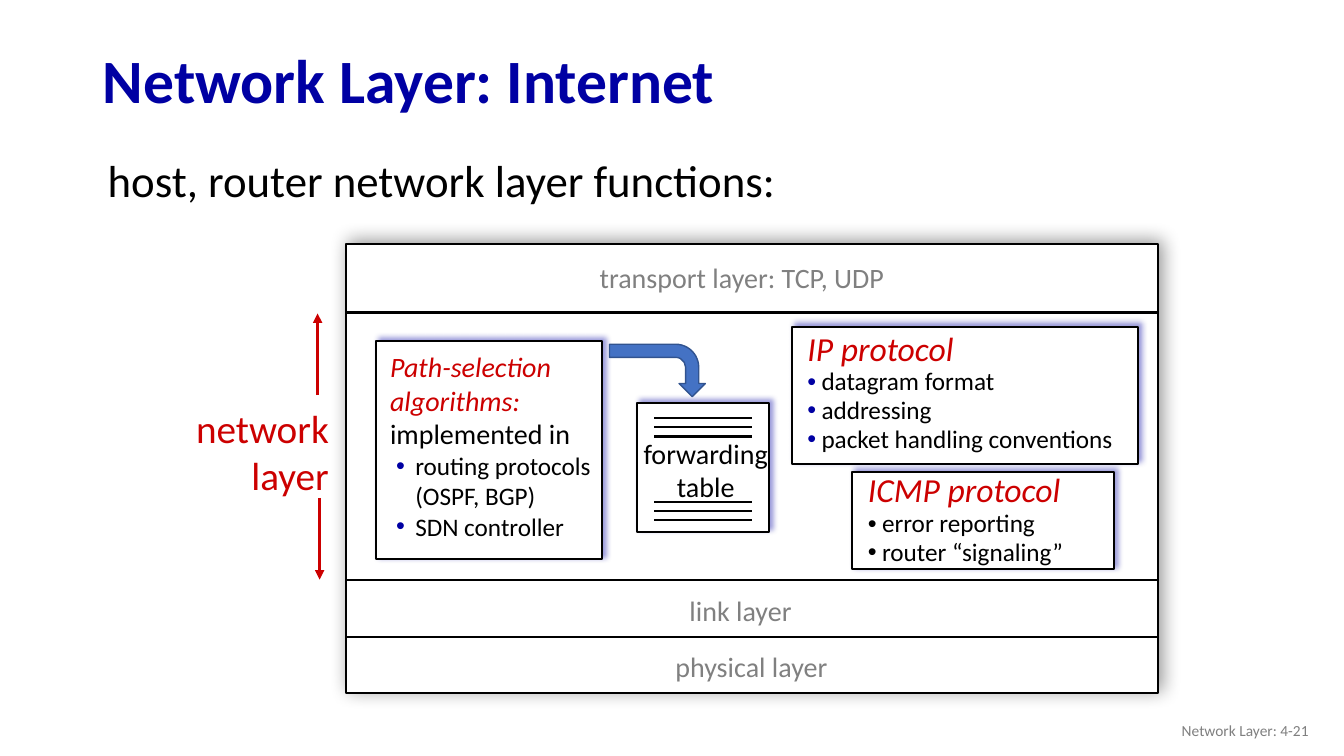
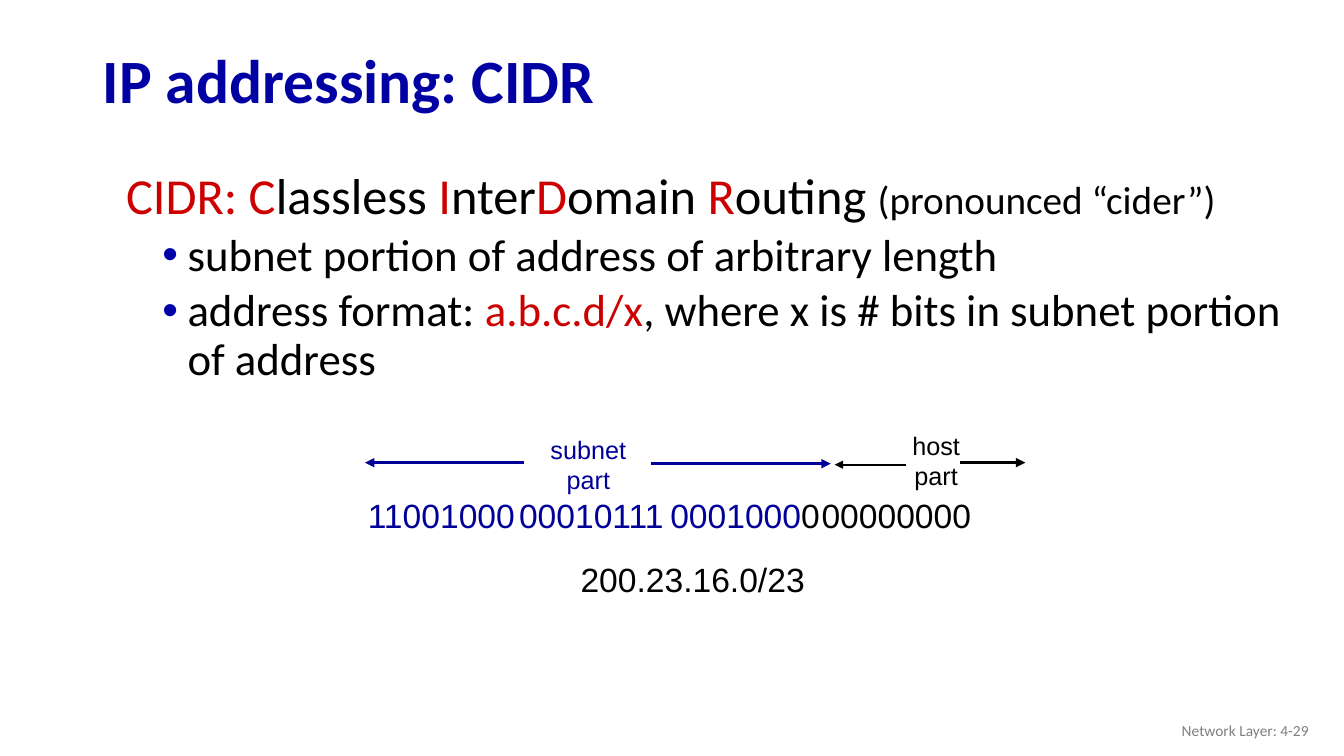
from dataclasses import dataclass
from typing import Any, NamedTuple

from lxml.etree import SubElement as Sub
from pptx import Presentation
from pptx.dml.color import RGBColor
from pptx.enum.shapes import MSO_CONNECTOR as Link, MSO_SHAPE as Kind
from pptx.enum.text import MSO_ANCHOR as Anchor, MSO_AUTO_SIZE as Fit, PP_ALIGN as Align
from pptx.oxml.ns import qn
from pptx.util import Inches, Pt

NAVY = RGBColor(0x00, 0x00, 0xA3)
MARK = RGBColor(0x00, 0x00, 0xA8)
INK = RGBColor(0x00, 0x00, 0x99)
RED = RGBColor(0xCC, 0x00, 0x00)
BLACK = RGBColor(0x00, 0x00, 0x00)
WHITE = RGBColor(0xFF, 0xFF, 0xFF)
GRAY = RGBColor(0x80, 0x80, 0x80)
FOOT = RGBColor(0x7F, 0x7F, 0x7F)
BLUE = RGBColor(0x44, 0x72, 0xC4)
EDGE = RGBColor(0x31, 0x53, 0x8F)


class Box(NamedTuple):
    left: float
    top: float
    width: float
    height: float

    def emu(self) -> list[int]:
        return [Inches(v) for v in self]


class Run(NamedTuple):
    text: str
    size: float
    color: RGBColor = BLACK
    font: str = "Calibri"
    bold: bool = False
    slant: bool = False


@dataclass
class Para:
    runs: list[Run]
    align: Any = Align.LEFT
    space: float = 1.0
    before: float = 0
    margin: float = 0
    indent: float = 0
    bullet: RGBColor | None = None
    level: int = 0
    tabs: tuple[float, ...] = ()


class Glow(NamedTuple):
    """Shadow colour with blur and distance in points."""
    color: RGBColor
    blur: float
    dist: float


class Line(NamedTuple):
    x1: float
    y1: float
    x2: float
    y2: float
    color: RGBColor = BLACK
    width: float = 1.5
    arrow: bool = False


TITLE = Box(0.92, 0.34, 11.5, 0.98)
FOOTER = Box(10.08, 7.05, 3, 0.4)
FRAME = Box(3.43, 2.42, 8.06, 4.46)
SOFT = Glow(NAVY, 4, 3)
DEEP = Glow(BLACK, 13, 3)


def assign(target: Any, values: dict[str, Any]) -> None:
    for name, value in values.items():
        setattr(target, name, value)


def set_marks(para: Any, data: Para) -> None:
    """Set indents, bullet and tab stops of a paragraph."""
    props = para._p.get_or_add_pPr()
    props.set("marL", str(Inches(data.margin)))
    props.set("indent", str(Inches(data.indent)))
    if data.bullet is None:
        Sub(props, qn("a:buNone"))
    else:
        Sub(Sub(props, qn("a:buClr")), qn("a:srgbClr"), val=str(data.bullet))
        Sub(props, qn("a:buFont"), typeface="Arial")
        Sub(props, qn("a:buChar"), char="•")
    if data.tabs:
        stops = Sub(props, qn("a:tabLst"))
        for stop in data.tabs:
            Sub(stops, qn("a:tab"), pos=str(Inches(stop)), algn="l")


def fill_text(shape: Any, paras: list[Para], anchor: Any = Anchor.TOP) -> None:
    frame = shape.text_frame
    assign(frame, {"word_wrap": True, "auto_size": Fit.NONE, "vertical_anchor": anchor})
    for i, data in enumerate(paras):
        para = frame.add_paragraph() if i else frame.paragraphs[0]
        assign(para, {"alignment": data.align, "line_spacing": data.space,
                      "space_before": Pt(data.before), "level": data.level})
        set_marks(para, data)
        for item in data.runs:
            run = para.add_run()
            run.text = item.text
            assign(run.font, {"name": item.font, "size": Pt(item.size),
                              "bold": item.bold, "italic": item.slant})
            run.font.color.rgb = item.color


def add_text(slide: Any, box: Box, paras: list[Para], anchor: Any = Anchor.TOP) -> None:
    fill_text(slide.shapes.add_textbox(*box.emu()), paras, anchor)


def fill_holder(holder: Any, box: Box, paras: list[Para], anchor: Any) -> None:
    """Move a placeholder to the box and write its text."""
    assign(holder, dict(zip(box._fields, box.emu())))
    fill_text(holder, paras, anchor)


def add_shape(slide: Any, kind: Any, box: Box, fill: RGBColor, edge: RGBColor,
              width: float) -> Any:
    shape = slide.shapes.add_shape(kind, *box.emu())
    shape.fill.solid()
    shape.fill.fore_color.rgb = fill
    shape.line.color.rgb = edge
    shape.line.width = Pt(width)
    shape.shadow.inherit = False
    return shape


def add_card(slide: Any, box: Box, glow: Glow = SOFT) -> None:
    shape = add_shape(slide, Kind.RECTANGLE, box, WHITE, BLACK, 1.5)
    effect = shape._element.spPr.find(qn("a:effectLst"))
    shadow = Sub(effect, qn("a:outerShdw"), blurRad=str(Pt(glow.blur)),
                 dist=str(Pt(glow.dist)), dir=str(315 * 60000),
                 algn="bl", rotWithShape="0")
    Sub(Sub(shadow, qn("a:srgbClr"), val=str(glow.color)), qn("a:alpha"), val="40000")


def add_line(slide: Any, line: Line) -> None:
    ends = [Inches(v) for v in line[:4]]
    shape = slide.shapes.add_connector(Link.STRAIGHT, *ends)
    shape.line.color.rgb = line.color
    shape.line.width = Pt(line.width)
    props = shape._element.spPr
    if line.arrow:
        Sub(props.find(qn("a:ln")), qn("a:tailEnd"), type="triangle")
    Sub(props, qn("a:effectLst"))


def add_slide(deck: Any, layout: int, title: str, page: int) -> Any:
    slide = deck.slides.add_slide(deck.slide_layouts[layout])
    fill_holder(slide.shapes.title, TITLE,
                [Para([Run(title, 44, NAVY, bold=True)], space=0.9)], Anchor.MIDDLE)
    add_text(slide, FOOTER, [Para([Run(f"Network Layer: 4-{page}", 11, FOOT)],
                                  align=Align.RIGHT)], Anchor.MIDDLE)
    return slide


def stack(words: str, run: Run, align: Any = Align.CENTER) -> list[Para]:
    """Put each word on its own line."""
    return [Para([run._replace(text=word)], align) for word in words.split()]


def notes(head: str, items: list[str], color: RGBColor, space: float) -> list[Para]:
    """Red heading above a tight bullet list."""
    return [Para([Run(head, 24, RED, slant=True)], space=space)] + [
        Para([Run(item, 18)], space=0.95, margin=0.14, indent=-0.14, bullet=color)
        for item in items]


def draw_layers(slide: Any) -> None:
    add_card(slide, FRAME, DEEP)
    for y in (3.1, 5.75, 6.32):
        add_line(slide, Line(FRAME.left, y, FRAME.left + FRAME.width, y))
    for text, box in (("transport layer: TCP, UDP", Box(5.85, 2.54, 3.1, 0.44)),
                      ("link layer", Box(6.74, 5.84, 1.4, 0.44)),
                      ("physical layer", Box(6.6, 6.39, 1.9, 0.44))):
        add_text(slide, box, [Para([Run(text, 20, GRAY)])])
    add_text(slide, Box(1.82, 3.96, 1.54, 1.04),
             stack("network layer", Run("", 28, RED), Align.RIGHT))
    for x, start, end in ((3.15, 3.92, 3.11), (3.17, 4.94, 5.75)):
        add_line(slide, Line(x, start, x, end, RED, 2.25, True))


def draw_table(slide: Any) -> None:
    add_card(slide, Box(6.32, 4, 1.31, 1.28))
    add_text(slide, Box(6.27, 4.28, 1.46, 0.77), stack("forwarding table", Run("", 20)))
    for top in (4.15, 4.98):
        for row in range(3):
            y = top + row * 0.09
            add_line(slide, Line(6.49, y, 7.46, y))


def draw_paths(slide: Any) -> None:
    add_card(slide, Box(3.73, 3.38, 2.24, 2.17))
    head = Para([Run("Path-selection algorithms: ", 20, RED, slant=True),
                 Run("implemented in", 20)])
    items = [Para([Run(text, 18)], margin=0.25, indent=-0.19, bullet=NAVY)
             for text in ("routing protocols (OSPF, BGP)", "SDN controller")]
    add_text(slide, Box(3.77, 3.42, 2.32, 2.02), [head, *items])
    arrow = add_shape(slide, Kind.BENT_ARROW, Box(6.26, 3.2, 0.52, 0.95), BLUE, EDGE, 1)
    arrow.rotation = 90
    for i, value in enumerate((0.25, 0.25, 0.25, 0.44)):
        arrow.adjustments[i] = value


def build_layers(deck: Any) -> None:
    slide = add_slide(deck, 5, "Network Layer: Internet", 21)
    add_text(slide, Box(0.97, 1.55, 8.24, 0.48),
             [Para([Run("host, router network layer functions:", 32)], space=0.85)])
    draw_layers(slide)
    add_card(slide, Box(7.86, 3.24, 3.43, 1.36))
    add_text(slide, Box(7.91, 3.2, 3.33, 1.37),
             notes("IP protocol", ["datagram format", "addressing",
                                   "packet handling conventions"], NAVY, 1.0))
    add_card(slide, Box(8.45, 4.68, 2.6, 0.97))
    add_text(slide, Box(8.51, 4.63, 2.69, 1.06),
             notes("ICMP protocol", ["error reporting", "router “signaling”"], BLACK, 0.95))
    draw_table(slide)
    draw_paths(slide)


def draw_bits(slide: Any) -> None:
    """Draw the address bits with their subnet and host spans."""
    bits = Run("", 24, INK, "Arial")
    subnet = "\t".join(("11001000", "00010111", "0001000"))
    host = "\t".join(("0", "00000000"))
    add_text(slide, Box(3.55, 4.86, 6.7, 0.5),
             [Para([bits._replace(text=subnet), bits._replace(text=host, color=BLACK)],
                   tabs=(1.63, 3.25, 4.92))])
    for words, color, box in (("subnet part", INK, Box(5.36, 4.26, 0.95, 0.7)),
                              ("host part", BLACK, Box(8.91, 4.22, 0.75, 0.7))):
        add_text(slide, box, stack(words, Run("", 18, color, "Arial")))
    add_text(slide, Box(5.66, 5.5, 2.6, 0.5),
             [Para([Run("200.23.16.0/23", 24, BLACK, "Arial")])])
    for start, end, y, color, width in ((6.46, 8.24, 4.6, INK, 2.25),
                                        (5.2, 3.62, 4.59, INK, 2.25),
                                        (9.52, 10.17, 4.59, BLACK, 2.25),
                                        (8.99, 8.28, 4.61, BLACK, 1.5)):
        add_line(slide, Line(start, y, end, y, color, width, True))


def build_cidr(deck: Any) -> None:
    slide = add_slide(deck, 1, "IP addressing: CIDR", 29)
    parts = (("CIDR: C", "lassless "), ("I", "nter"), ("D", "omain "), ("R", "outing "))
    head = [Run(text, 36, color) for pair in parts
            for text, color in zip(pair, (RED, BLACK))]
    head.append(Run("(pronounced “cider”)", 28))
    points = [[Run("subnet portion of address of arbitrary length", 32)],
              [Run("address format: ", 32), Run("a.b.c.d/x", 32, RED),
               Run(", where x is # bits in subnet portion of address", 32)]]
    items = [Para(runs, space=0.9, before=5, margin=0.76, indent=-0.25,
                  bullet=MARK, level=1) for runs in points]
    fill_holder(slide.placeholders[1], Box(1, 1.65, 12.13, 2.27),
                [Para(head, space=0.9, margin=0.39, indent=-0.24), *items], Anchor.TOP)
    draw_bits(slide)


def main() -> None:
    deck = Presentation()
    deck.slide_width, deck.slide_height = Inches(13.33), Inches(7.5)
    build_layers(deck)
    build_cidr(deck)
    deck.save("out.pptx")


if __name__ == "__main__":
    main()
